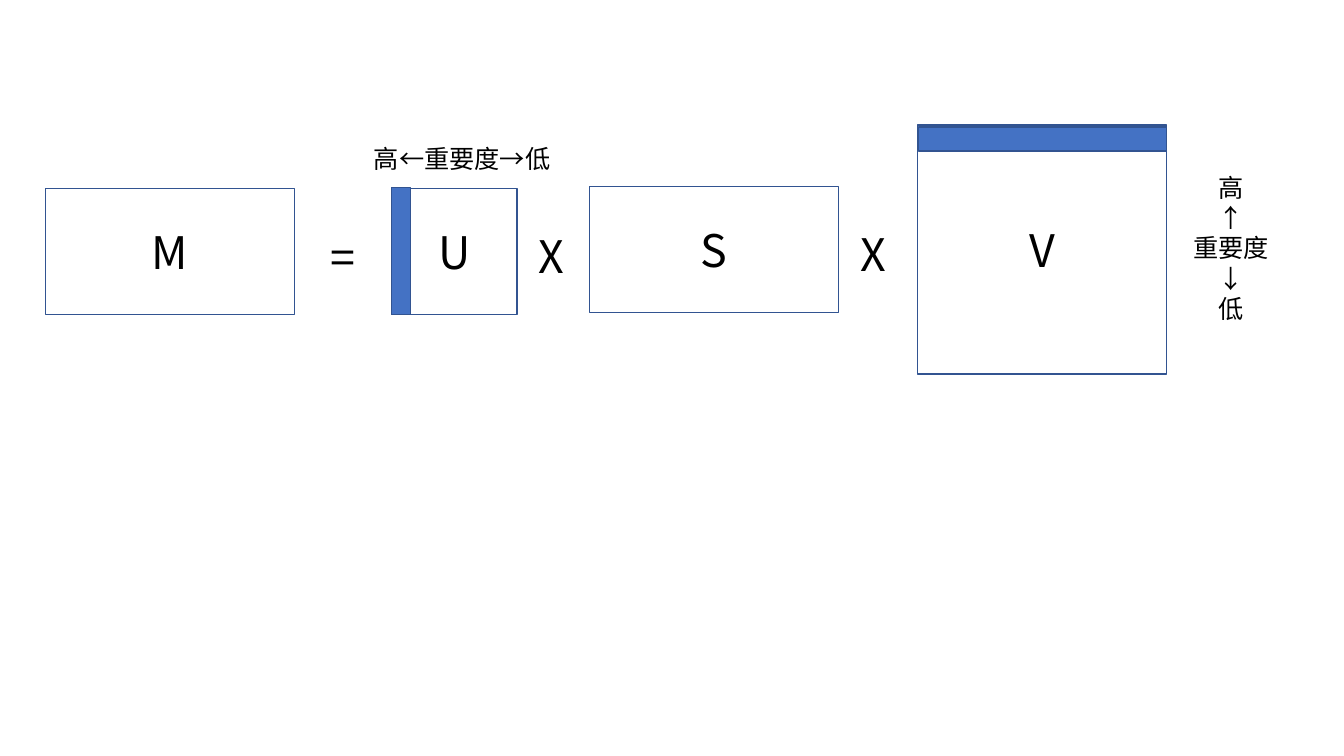
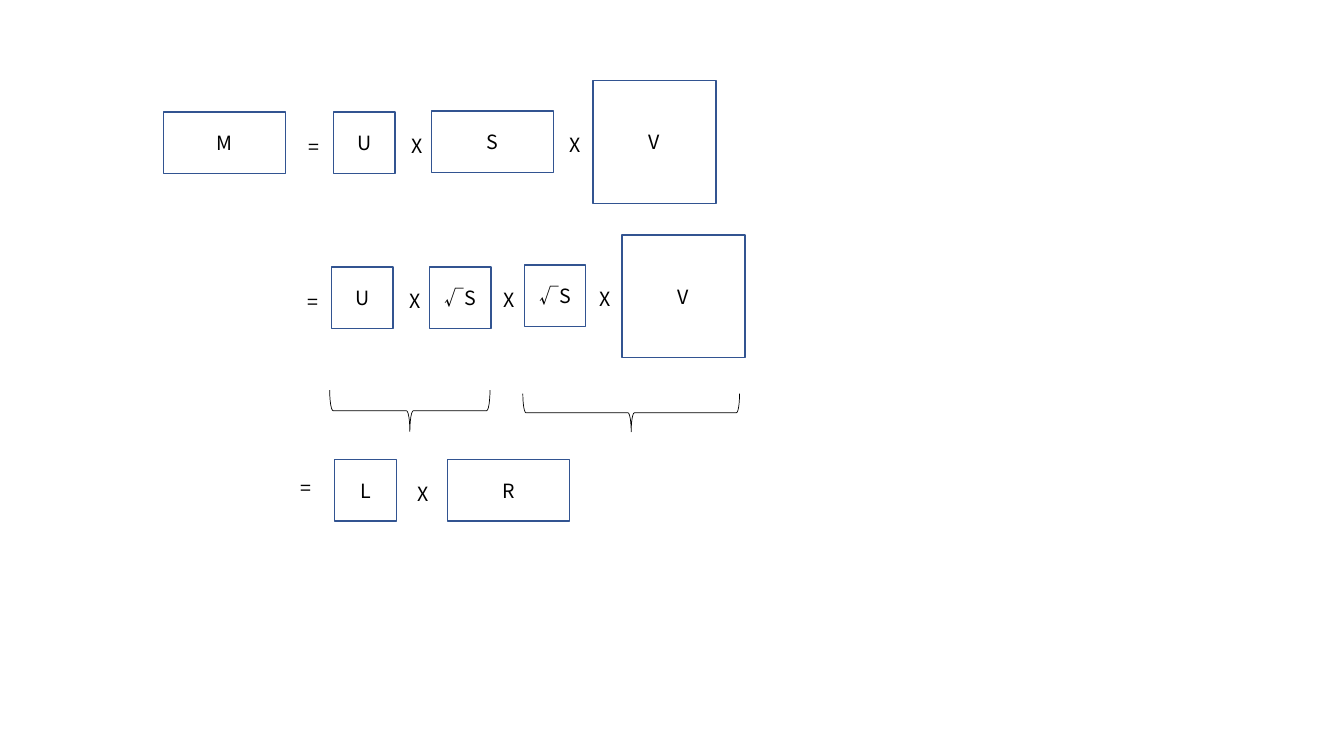
"""Build two slides on splitting a matrix into factors."""
from dataclasses import dataclass

from lxml.etree import SubElement
from pptx import Presentation
from pptx.dml.color import RGBColor
from pptx.enum.shapes import MSO_SHAPE
from pptx.enum.text import MSO_ANCHOR, MSO_AUTO_SIZE, PP_ALIGN
from pptx.oxml.ns import qn
from pptx.slide import Slide
from pptx.text.text import TextFrame
from pptx.util import Inches, Pt


@dataclass(frozen=True)
class Theme:
    font: str = "Noto Sans CJK JP"
    text: RGBColor = RGBColor(0, 0, 0)
    paper: RGBColor = RGBColor(255, 255, 255)
    accent: RGBColor = RGBColor(0x44, 0x72, 0xC4)
    outline: RGBColor = RGBColor(0x32, 0x54, 0x91)
    large: int = 32
    note: int = 18
    small: int = 14
    outline_width: float = 1
    brace_width: float = 0.5


@dataclass(frozen=True)
class Box:
    left: float
    top: float
    width: float
    height: float
    label: str = ""


@dataclass(frozen=True)
class Label:
    text: str
    left: float
    top: float
    width: float
    height: float
    align: PP_ALIGN = PP_ALIGN.LEFT


THEME = Theme()


def format_text(frame: TextFrame, size: int, align: PP_ALIGN) -> None:
    for paragraph in frame.paragraphs:
        paragraph.alignment = align
        for run in paragraph.runs:
            run.font.size = Pt(size)
            run.font.color.rgb = THEME.text
            run.font.name = THEME.font
            SubElement(run.font._element, qn("a:ea"), typeface=THEME.font)


def draw_box(slide: Slide, box: Box, size: int, fill: RGBColor = THEME.paper) -> None:
    shape = slide.shapes.add_shape(
        MSO_SHAPE.RECTANGLE, Inches(box.left), Inches(box.top),
        Inches(box.width), Inches(box.height))
    shape.shadow.inherit = False
    shape.fill.solid()
    shape.fill.fore_color.rgb = fill
    shape.line.color.rgb = THEME.outline
    shape.line.width = Pt(THEME.outline_width)
    if box.label:
        shape.text_frame.text = box.label
        shape.text_frame.vertical_anchor = MSO_ANCHOR.MIDDLE
        format_text(shape.text_frame, size, PP_ALIGN.CENTER)


def draw_label(slide: Slide, label: Label, size: int) -> None:
    frame = slide.shapes.add_textbox(
        Inches(label.left), Inches(label.top),
        Inches(label.width), Inches(label.height)).text_frame
    frame.word_wrap = False
    frame.auto_size = MSO_AUTO_SIZE.SHAPE_TO_FIT_TEXT
    frame.text = label.text
    format_text(frame, size, label.align)


def draw_brace(slide: Slide, brace: Box) -> None:
    shape = slide.shapes.add_shape(
        MSO_SHAPE.RIGHT_BRACE, Inches(brace.left), Inches(brace.top),
        Inches(brace.width), Inches(brace.height))
    shape.rotation = 90
    shape.shadow.inherit = False
    shape.fill.background()
    shape.line.color.rgb = THEME.text
    shape.line.width = Pt(THEME.brace_width)


def draw_equation(slide: Slide, boxes: list[Box], signs: list[Label], size: int) -> None:
    for box in boxes:
        draw_box(slide, box, size)
    for sign in signs:
        draw_label(slide, sign, size)


def equals(left: float, top: float) -> Label:
    return Label("=", left, top, 0.34, 0.34)


def times(left: float, top: float) -> Label:
    return Label("X", left, top, 0.33, 0.34)


def small_square(label: str, left: float, top: float) -> Box:
    return Box(left, top, 0.61, 0.61, label)


def small_wide(label: str, left: float, top: float) -> Box:
    return Box(left, top, 1.21, 0.61, label)


def big_square(label: str, left: float, top: float) -> Box:
    return Box(left, top, 1.22, 1.22, label)


def build_importance(slide: Slide) -> None:
    draw_equation(
        slide,
        [Box(0.45, 1.87, 2.47, 1.25, "M"), Box(3.88, 1.87, 1.25, 1.25, "U"),
         Box(5.85, 1.85, 2.47, 1.25, "S"), Box(9.1, 1.24, 2.47, 2.47, "V")],
        [Label("=", 3.18, 2.23, 0.53, 0.64), Label("X", 5.24, 2.22, 0.49, 0.64),
         Label("X", 8.44, 2.2, 0.49, 0.64)],
        THEME.large)
    for strip in (Box(3.88, 1.86, 0.19, 1.26), Box(9.11, 1.26, 2.46, 0.24)):
        draw_box(slide, strip, THEME.large, THEME.accent)
    for label in (
            Label("高←重要度→低", 3.61, 1.37, 1.97, 0.4),
            Label("高\n↑\n重要度\n↓\n低", 11.73, 1.66, 0.96, 1.62, PP_ALIGN.CENTER)):
        draw_label(slide, label, THEME.note)


def build_factors(slide: Slide) -> None:
    draw_equation(
        slide,
        [small_wide("M", 1.62, 1.11), small_square("U", 3.31, 1.11),
         small_wide("S", 4.28, 1.1), big_square("V", 5.88, 0.8)],
        [equals(2.96, 1.29), times(3.98, 1.28), times(5.55, 1.27)],
        THEME.small)
    draw_equation(
        slide,
        [small_square("U", 3.29, 2.65), small_square("√S", 4.26, 2.65),
         small_square("√S", 5.2, 2.63), big_square("V", 6.17, 2.33)],
        [equals(2.95, 2.83), times(3.96, 2.82), times(4.9, 2.81), times(5.85, 2.8)],
        THEME.small)
    for brace in (Box(3.86, 3.28, 0.41, 1.59), Box(6.07, 3.02, 0.38, 2.15)):
        draw_brace(slide, brace)
    draw_equation(
        slide,
        [small_square("L", 3.32, 4.56), small_wide("R", 4.44, 4.56)],
        [equals(2.88, 4.67), times(4.04, 4.73)],
        THEME.small)


def main() -> None:
    presentation = Presentation()
    presentation.slide_width = Inches(13.33)
    presentation.slide_height = Inches(7.5)
    blank = presentation.slide_layouts[6]
    for build in (build_importance, build_factors):
        build(presentation.slides.add_slide(blank))
    presentation.save("out.pptx")


main()
